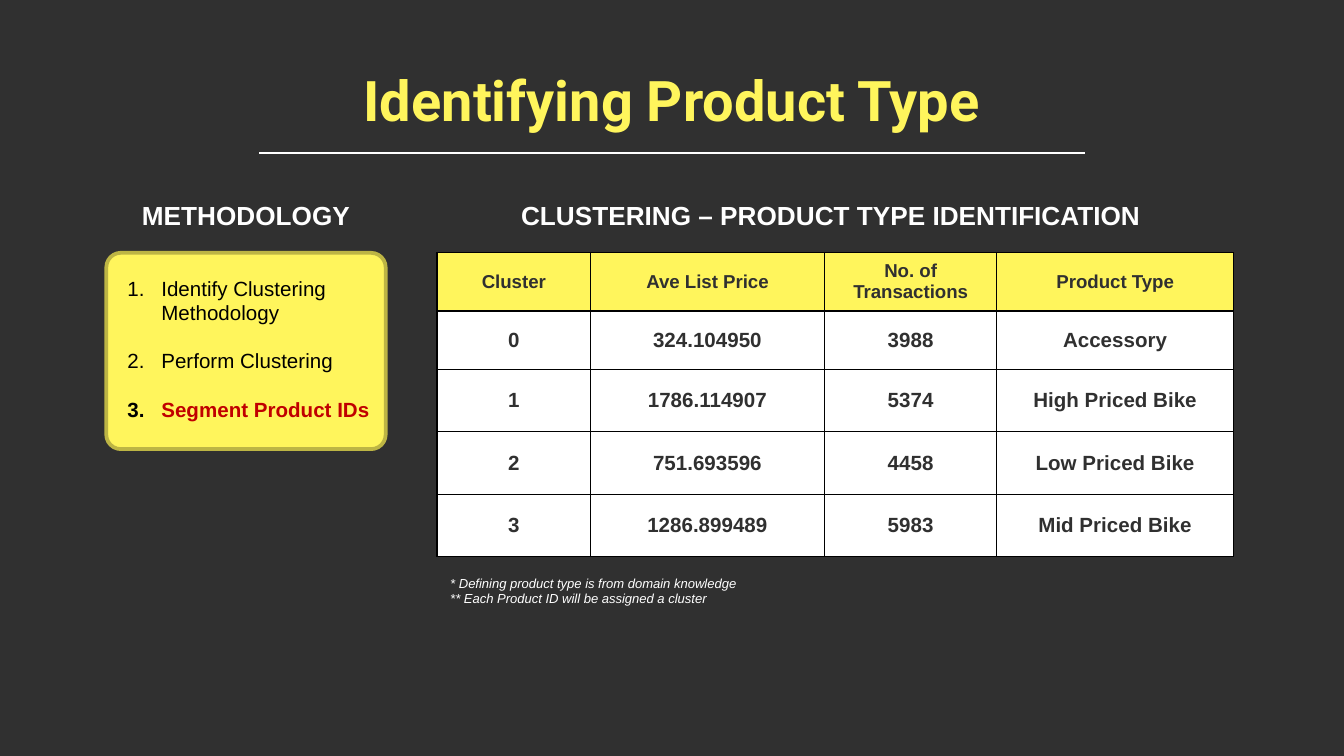
from lxml import etree
from pptx import Presentation
from pptx.dml.color import RGBColor
from pptx.enum.shapes import MSO_CONNECTOR, MSO_SHAPE
from pptx.enum.text import MSO_ANCHOR, PP_ALIGN
from pptx.oxml.ns import qn
from pptx.util import Cm, Pt

CENTER, LEFT = PP_ALIGN.CENTER, PP_ALIGN.LEFT
MIDDLE = MSO_ANCHOR.MIDDLE
ROUNDED = MSO_SHAPE.ROUNDED_RECTANGLE
STRAIGHT = MSO_CONNECTOR.STRAIGHT

CHARCOAL = RGBColor(0x30, 0x30, 0x30)
YELLOW = RGBColor(0xFF, 0xF5, 0x5C)
OLIVE = RGBColor(0xBD, 0xB5, 0x44)
WHITE = RGBColor(0xFF, 0xFF, 0xFF)
BLACK = RGBColor(0x00, 0x00, 0x00)
RED = RGBColor(0xC0, 0x00, 0x00)

STEPS = ["Identify Clustering Methodology", "Perform Clustering", "Segment Product IDs"]
CLUSTERS = [
    ["Cluster", "Ave List Price", "No. of Transactions", "Product Type"],
    ["0", "324.104950", "3988", "Accessory"],
    ["1", "1786.114907", "5374", "High Priced Bike"],
    ["2", "751.693596", "4458", "Low Priced Bike"],
    ["3", "1286.899489", "5983", "Mid Priced Bike"],
]
NOTES = [
    "* Defining product type is from domain knowledge",
    "** Each Product ID will be assigned a cluster",
]


class SlideBuilder:
    """Draws the elements of one slide in a shared style."""

    def __init__(self, slide, font="Arial"):
        self.slide = slide
        self.font = font
        slide.background.fill.solid()
        slide.background.fill.fore_color.rgb = CHARCOAL

    def style(self, paragraph, size, color, bold=False, italic=False, font=None, align=LEFT):
        paragraph.alignment = align
        face = paragraph.font
        face.name = font or self.font
        face.size = Pt(size)
        face.bold = bold
        face.italic = italic
        face.color.rgb = color

    def text(self, left, top, width, height, lines, size, color, inset=0.13, **look):
        box = self.slide.shapes.add_textbox(Cm(left), Cm(top), Cm(width), Cm(height))
        frame = box.text_frame
        frame.word_wrap = True
        frame.margin_top = frame.margin_bottom = Cm(inset)
        frame.text = "\n".join(lines)
        for paragraph in frame.paragraphs:
            self.style(paragraph, size, color, **look)
        return frame

    def rule(self, left, right, y):
        line = self.slide.shapes.add_connector(STRAIGHT, Cm(left), Cm(y), Cm(right), Cm(y))
        line.line.color.rgb = WHITE
        line.line.width = Pt(0.75)
        etree.SubElement(line._element.spPr, qn("a:effectLst"))

    def panel(self, left, top, width, height):
        panel = self.slide.shapes.add_shape(ROUNDED, Cm(left), Cm(top), Cm(width), Cm(height))
        panel.adjustments[0] = 0.074
        panel.shadow.inherit = False
        panel.fill.solid()
        panel.fill.fore_color.rgb = YELLOW
        panel.line.color.rgb = OLIVE
        panel.line.width = Pt(2)

    def steps(self, left, top, width, height, lines, size):
        frame = self.text(left, top, width, height, lines, size, BLACK)
        for index, paragraph in enumerate(frame.paragraphs):
            properties = paragraph._p.get_or_add_pPr()
            properties.set("marL", str(Cm(0.64)))
            properties.set("indent", str(-Cm(0.64)))
            number_color = etree.Element(qn("a:buClr"))
            etree.SubElement(number_color, qn("a:srgbClr"), val=str(BLACK))
            numbering = etree.Element(qn("a:buAutoNum"), type="arabicPeriod")
            properties.insert(0, number_color)
            properties.insert(1, numbering)
            if index:
                paragraph.space_before = Pt(12.6)
        self.style(frame.paragraphs[-1], size, RED, bold=True)

    def border(self, cell):
        properties = cell._tc.get_or_add_tcPr()
        for index, side in enumerate(("lnL", "lnR", "lnT", "lnB")):
            edge = etree.Element(qn(f"a:{side}"), w=str(Pt(0.75)))
            fill = etree.SubElement(edge, qn("a:solidFill"))
            etree.SubElement(fill, qn("a:srgbClr"), val=str(BLACK))
            properties.insert(index, edge)

    def table(self, left, top, widths, heights, rows):
        table = self.slide.shapes.add_table(
            len(rows), len(widths), Cm(left), Cm(top), Cm(sum(widths)), Cm(sum(heights))
        ).table
        for column, width in zip(table.columns, widths):
            column.width = Cm(width)
        for r, (height, values) in enumerate(zip(heights, rows)):
            header = r == 0
            table.rows[r].height = Cm(height)
            for c, value in enumerate(values):
                cell = table.cell(r, c)
                cell.text = value
                cell.vertical_anchor = MIDDLE
                cell.margin_top = cell.margin_bottom = Cm(0.05 if header else 0.13)
                cell.fill.solid()
                cell.fill.fore_color.rgb = YELLOW if header else WHITE
                self.style(cell.text_frame.paragraphs[0], 10 if header else 11,
                           CHARCOAL, bold=True, align=CENTER)
                self.border(cell)


def main():
    deck = Presentation()
    deck.slide_width, deck.slide_height = Cm(25.4), Cm(14.29)
    page = SlideBuilder(deck.slides.add_slide(deck.slide_layouts[6]))
    heading = {"size": 14, "color": WHITE, "bold": True, "align": CENTER}

    page.text(4.6, 0.99, 16.2, 2.11, ["Identifying Product Type"], 30, YELLOW,
              inset=0.25, bold=True, font="Roboto", align=CENTER)
    page.rule(4.9, 20.5, 2.89)

    page.panel(2.01, 4.78, 5.28, 3.71)
    page.text(2.01, 3.63, 5.28, 0.86, ["METHODOLOGY"], **heading)
    page.steps(2.16, 5.08, 5.11, 3.07, STEPS, 11)

    page.text(8.1, 3.63, 15.21, 0.86, ["CLUSTERING – PRODUCT TYPE IDENTIFICATION"], **heading)
    page.table(8.26, 4.78, [2.9, 4.42, 3.26, 4.47], [1.1, 1.1, 1.18, 1.18, 1.18], CLUSTERS)
    page.text(8.26, 10.74, 14.81, 0.86, NOTES, 7, WHITE, italic=True)

    deck.save("out.pptx")


if __name__ == "__main__":
    main()
